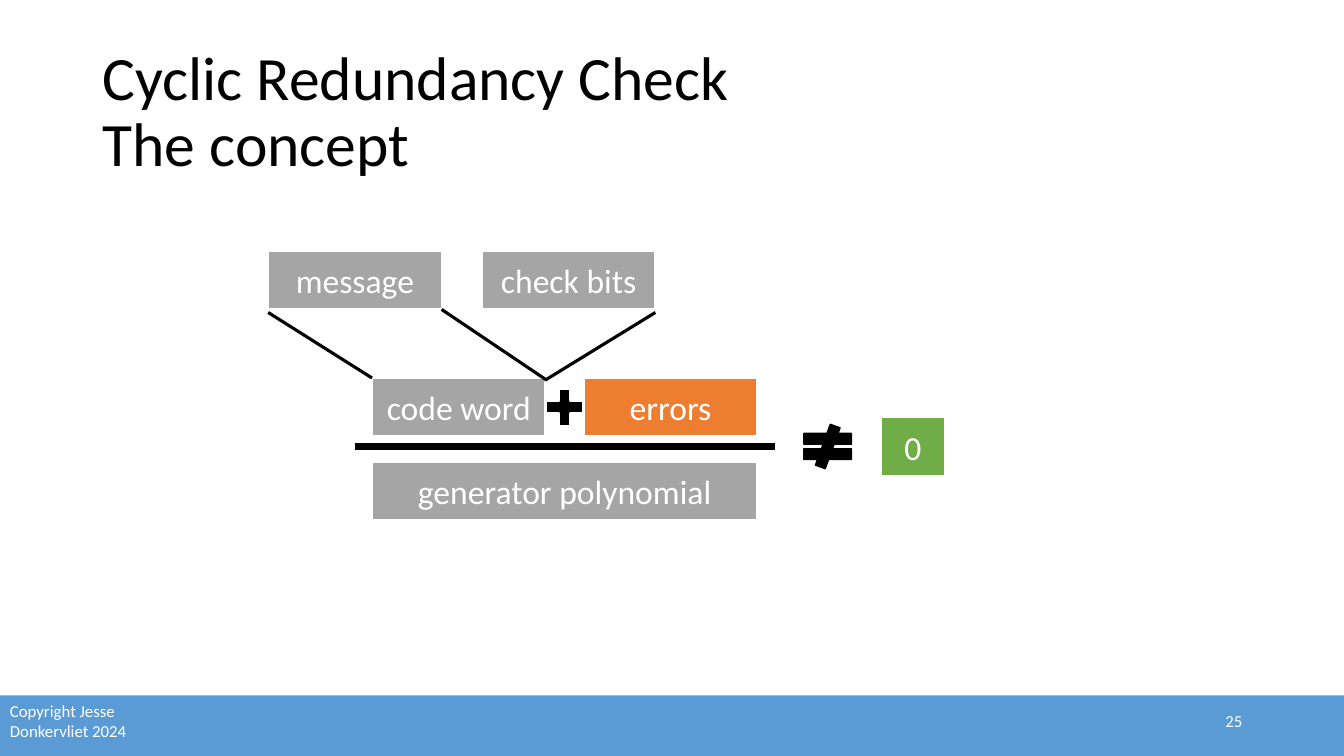
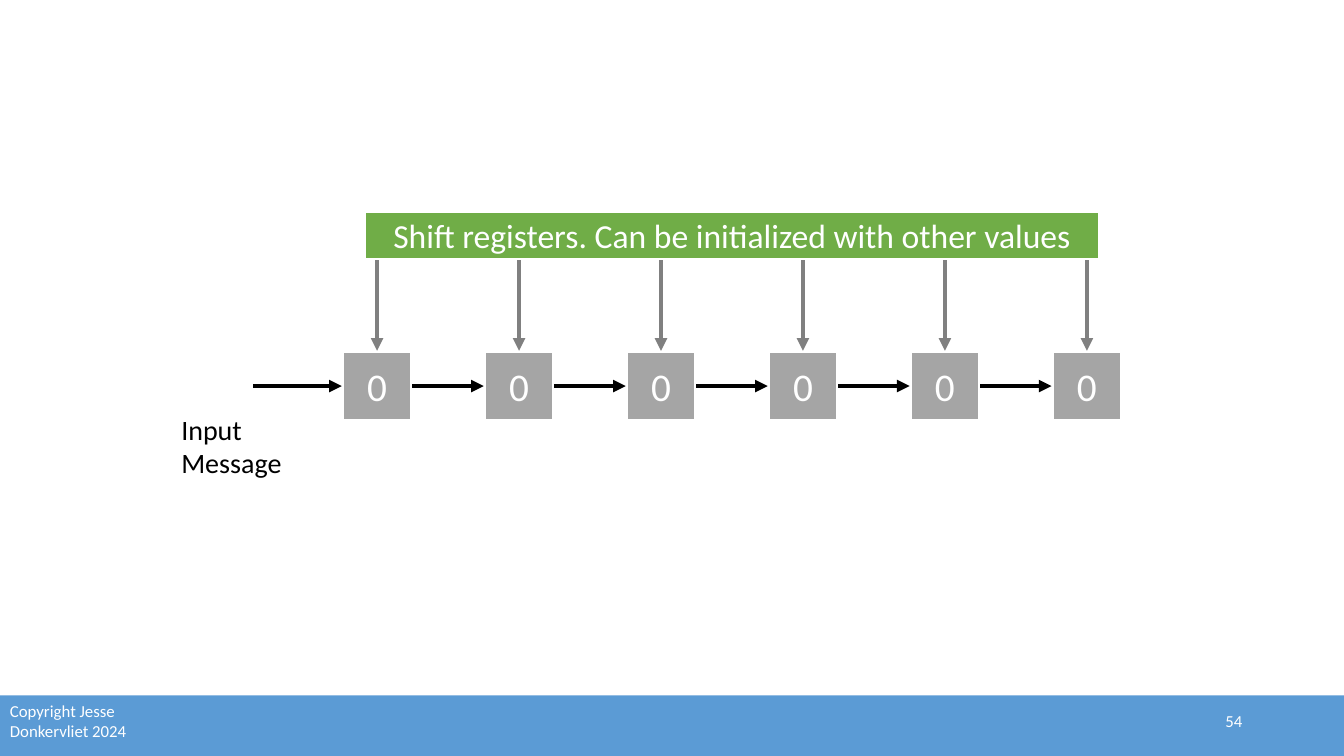
import pptx
import pptx.util
import pptx.dml.color
import pptx.enum.shapes
import pptx.enum.text
import pptx.oxml
import pptx.oxml.ns
from pptx.util import Inches

RGBColor = pptx.dml.color.RGBColor
Shape = pptx.enum.shapes.MSO_SHAPE
Align = pptx.enum.text.PP_ALIGN
Anchor = pptx.enum.text.MSO_ANCHOR

FONT = "Calibri"
WHITE = RGBColor(0xFF, 0xFF, 0xFF)
BLACK = RGBColor(0x00, 0x00, 0x00)
BLUE = RGBColor(0x5B, 0x9B, 0xD5)
GRAY = RGBColor(0xA5, 0xA5, 0xA5)
DARK_GRAY = RGBColor(0x80, 0x80, 0x80)
ORANGE = RGBColor(0xED, 0x7D, 0x31)
GREEN = RGBColor(0x70, 0xAD, 0x47)


def add_box(s, box, text="", size=24, fill=None, color=WHITE, align=Align.CENTER,
            anchor=Anchor.MIDDLE, kind=Shape.RECTANGLE, line=WHITE, line_width=1.5,
            spacing=None):
    at = [Inches(v) for v in box]
    if fill is None:
        sp = s.shapes.add_textbox(*at)
    else:
        sp = s.shapes.add_shape(kind, *at)
        sp.shadow.inherit = False
        sp.fill.solid()
        sp.fill.fore_color.rgb = fill
        sp.line.color.rgb = line
        sp.line.width = pptx.util.Pt(line_width)
    if not text:
        return sp
    tf = sp.text_frame
    tf.word_wrap = True
    tf.vertical_anchor = anchor
    for i, paragraph in enumerate(text.split("\n")):
        p = tf.add_paragraph() if i else tf.paragraphs[0]
        p.alignment = align
        p.line_spacing = spacing
        for j, part in enumerate(paragraph.split("\v")):
            if j:
                p.add_line_break()
            r = p.add_run()
            r.text = part
            r.font.name = FONT
            r.font.size = pptx.util.Pt(size)
            r.font.color.rgb = color
    return sp


def add_line(s, start, end, width, color=BLACK, arrow=False):
    cx = s.shapes.add_connector(pptx.enum.shapes.MSO_CONNECTOR.STRAIGHT,
                                *[Inches(v) for v in start + end])
    cx.line.color.rgb = color
    cx.line.width = pptx.util.Pt(width)
    if arrow:
        ln = cx.line._get_or_add_ln()
        ln.append(pptx.oxml.parse_xml(
            f'<a:tailEnd {pptx.oxml.ns.nsdecls("a")} type="triangle"/>'))
    cx._element.spPr.append(pptx.oxml.parse_xml(
        f'<a:effectLst {pptx.oxml.ns.nsdecls("a")}/>'))
    return cx


prs = pptx.Presentation()
prs.slide_width = Inches(13.33)
prs.slide_height = Inches(7.5)

slides = []
for number in ("25", "54"):
    s = prs.slides.add_slide(prs.slide_layouts[6])
    band = add_box(s, (0, 6.9, 13.33, 0.6), fill=BLUE)
    band.line.fill.background()
    add_box(s, (0, 6.9, 1.47, 0.5), "Copyright Jesse Donkervliet 2024", 12, align=Align.LEFT)
    add_box(s, (9.42, 6.95, 3, 0.4), number, 12, align=Align.RIGHT)
    slides.append(s)
concept, registers = slides

s = concept
add_box(s, (0.92, 0.4, 11.5, 1.45), "Cyclic Redundancy Check\vThe concept", 44,
        color=BLACK, align=Align.LEFT, spacing=0.9)
for left, top, width, text, fill in (
    (3.69, 3.75, 1.72, "code word", GRAY),
    (3.69, 4.58, 3.82, "generator polynomial", GRAY),
    (5.79, 3.75, 1.72, "errors", ORANGE),
    (8.74, 4.14, 0.63, "0", GREEN),
    (2.66, 2.49, 1.72, "message", GRAY),
    (4.78, 2.49, 1.72, "check bits", GRAY),
):
    add_box(s, (left, top, width, 0.58), text, fill=fill)
add_box(s, (5.35, 3.79, 0.5, 0.5), fill=BLACK, kind=Shape.MATH_PLUS)
for kind in (Shape.MATH_EQUAL, Shape.MATH_NOT_EQUAL):
    add_box(s, (7.89, 4.21, 0.64, 0.44), fill=BLACK, kind=kind, line=BLACK, line_width=1)
add_line(s, (3.52, 4.43), (7.69, 4.43), 4.5)
for start, end in (
    ((3.69, 3.75), (2.66, 3.1)),
    ((5.41, 3.77), (6.5, 3.1)),
    ((5.42, 3.77), (4.38, 3.07)),
):
    add_line(s, start, end, 2.25)

s = registers
SIDE, PITCH, LEFT, TOP = 0.7, 1.408, 3.39, 3.48
MIDDLE = TOP + SIDE / 2
cells = [add_box(s, (LEFT + i * PITCH, TOP, SIDE, SIDE), "0", 28, GRAY, line_width=3)
         for i in range(6)]
for i, cell in enumerate(cells):
    left = LEFT + i * PITCH
    start = left - PITCH + SIDE if i else 2.51
    shift = add_line(s, (start, MIDDLE), (left, MIDDLE), 3, arrow=True)
    if i:
        shift.begin_connect(cells[i - 1], 3)
    shift.end_connect(cell, 1)
    center = left + SIDE / 2
    pointer = add_line(s, (center, 2.5), (center, TOP), 3, DARK_GRAY, arrow=True)
    pointer.end_connect(cell, 0)
add_box(s, (3.62, 2.1, 7.28, 0.47),
        "Shift registers. Can be initialized with other values", fill=GREEN)
add_box(s, (1.7, 4.04, 1.54, 0.77), "Input\nMessage", 20, color=BLACK,
        align=Align.LEFT, anchor=Anchor.TOP)

prs.save("out.pptx")
